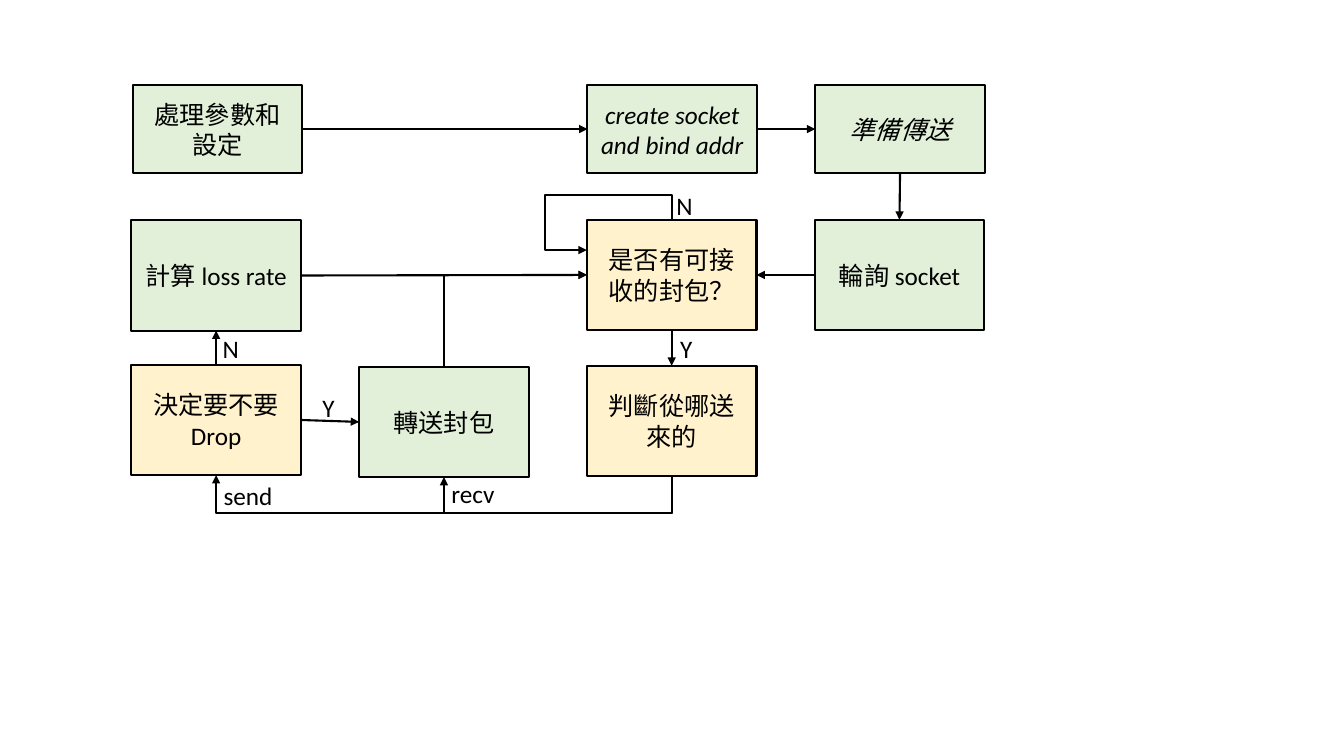
import lxml.etree
import pptx
import pptx.util
import pptx.dml.color
import pptx.enum.shapes
import pptx.enum.text
import pptx.oxml.ns

Pt = pptx.util.Pt
qn = pptx.oxml.ns.qn
Connectors = pptx.enum.shapes.MSO_CONNECTOR
COLORS = {"step": "E2F0D9", "choice": "FFF2CC", "ink": "000000"}
TOP, LEFT, BOTTOM, RIGHT = range(4)


class Flowchart:
    """Holds the style and the current slide, and draws its elements."""

    def __init__(self, page, font="Calibri", size=18, weight=1.5):
        self.page, self.font, self.size, self.weight = page, font, size, weight

    def color(self, name):
        return pptx.dml.color.RGBColor.from_string(COLORS[name])

    def outline(self, shape):
        shape.line.color.rgb = self.color("ink")
        shape.line.width = Pt(self.weight)

    def set_text(self, shape, text, italic=None):
        shape.text_frame.text = text
        para = shape.text_frame.paragraphs[0]
        para.font.name, para.font.size = self.font, Pt(self.size)
        para.font.italic = italic
        para.font.color.rgb = self.color("ink")
        return para

    def box(self, text, x, y, height, fill="step", italic=None):
        shape = self.page.shapes.add_shape(
            pptx.enum.shapes.MSO_SHAPE.RECTANGLE, Pt(x), Pt(y), Pt(BOX_WIDTH), Pt(height))
        shape.shadow.inherit = False
        shape.fill.solid()
        shape.fill.fore_color.rgb = self.color(fill)
        self.outline(shape)
        shape.text_frame.vertical_anchor = pptx.enum.text.MSO_ANCHOR.MIDDLE
        self.set_text(shape, text, italic).alignment = pptx.enum.text.PP_ALIGN.CENTER
        return shape

    def label(self, text, x, y, width):
        shape = self.page.shapes.add_textbox(Pt(x), Pt(y), Pt(width), Pt(29))
        shape.text_frame.word_wrap = False
        shape.text_frame.auto_size = pptx.enum.text.MSO_AUTO_SIZE.SHAPE_TO_FIT_TEXT
        self.set_text(shape, text)

    def arrow(self, start, start_site, end, end_site, kind=Connectors.STRAIGHT):
        connector = self.page.shapes.add_connector(kind, 0, 0, 0, 0)
        connector.begin_connect(start, start_site)
        if end_site is None:
            connector.end_x, connector.end_y = end
        else:
            connector.end_connect(end, end_site)
        self.outline(connector)
        properties = connector.element.spPr
        lxml.etree.SubElement(properties.find(qn("a:ln")), qn("a:tailEnd"), type="triangle")
        lxml.etree.SubElement(properties, qn("a:effectLst"))
        return connector

    def elbow(self, start, start_site, end, end_site, preset, turn, flips, bends=()):
        connector = self.arrow(start, start_site, end, end_site, Connectors.ELBOW)
        across, down = connector.width, connector.height
        connector.left += (across - down) // 2
        connector.top += (down - across) // 2
        connector.width, connector.height = down, across
        frame = connector.element.spPr.find(qn("a:xfrm"))
        frame.set("rot", str(turn * 60000))
        frame.set("flipH", str(int("h" in flips)))
        frame.set("flipV", str(int("v" in flips)))
        geometry = connector.element.spPr.find(qn("a:prstGeom"))
        geometry.set("prst", preset)
        guides = geometry.find(qn("a:avLst"))
        for number, (bend, length) in enumerate(zip(bends, (down, across)), 1):
            share = round(Pt(bend) / length * 100000)
            lxml.etree.SubElement(guides, qn("a:gd"), name=f"adj{number}", fmla=f"val {share}")


deck = pptx.Presentation()
deck.slide_width, deck.slide_height = Pt(960), Pt(540)
chart = Flowchart(deck.slides.add_slide(deck.slide_layouts[6]))

BOX_WIDTH, LOW, TALL = 121.2, 63.4, 78.8
COLUMNS = [93.8 + 162.7 * index for index in range(4)]
ROWS = [60.5, 157, 261.2]

setup = chart.box("處理參數和設定", COLUMNS[0] + 1, ROWS[0], LOW)
create = chart.box("create socket and bind addr", COLUMNS[2] + 0.4, ROWS[0], LOW, italic=True)
ready = chart.box("準備傳送", COLUMNS[3] + 0.4, ROWS[0], LOW, italic=True)
poll = chart.box("輪詢 socket", COLUMNS[3], ROWS[1], TALL)
check = chart.box("是否有可接收的封包？", COLUMNS[2], ROWS[1], TALL, "choice")
origin = chart.box("判斷從哪送來的", COLUMNS[2], ROWS[2], TALL, "choice")
forward = chart.box("轉送封包", COLUMNS[1], ROWS[2] + 0.8, TALL)
drop = chart.box("決定要不要 Drop", COLUMNS[0], ROWS[2] - 0.6, TALL, "choice")
loss = chart.box("計算 loss rate", COLUMNS[0], ROWS[1] + 0.4, TALL)

for link in [
    (setup, RIGHT, create, LEFT),
    (create, RIGHT, ready, LEFT),
    (ready, BOTTOM, poll, TOP),
    (poll, LEFT, check, RIGHT),
    (check, BOTTOM, origin, TOP),
    (drop, TOP, loss, BOTTOM),
    (drop, RIGHT, forward, LEFT),
    (loss, RIGHT, check, LEFT),
]:
    chart.arrow(*link)

DIP = 26.4
retry = (check.left, check.top + Pt(21.6))
chart.elbow(origin, BOTTOM, drop, BOTTOM, "bentConnector3", 90, "h", [-DIP])
chart.elbow(origin, BOTTOM, forward, BOTTOM, "bentConnector3", 90, "", [DIP])
chart.elbow(forward, TOP, check, LEFT, "bentConnector2", 90, "hv")
chart.elbow(check, TOP, retry, None, "bentConnector4", 270, "hv", [-17.8, 90.2])

for text, x, y, width in [
    ("recv", 315.4, 338.4, 45.4),
    ("send", 152.6, 339.4, 49.7),
    ("Y", 478.8, 234.7, 23),
    ("N", 476, 132.5, 26),
    ("N", 152, 234.7, 26),
    ("Y", 223.2, 276.5, 23),
]:
    chart.label(text, x, y, width)

deck.save("out.pptx")
